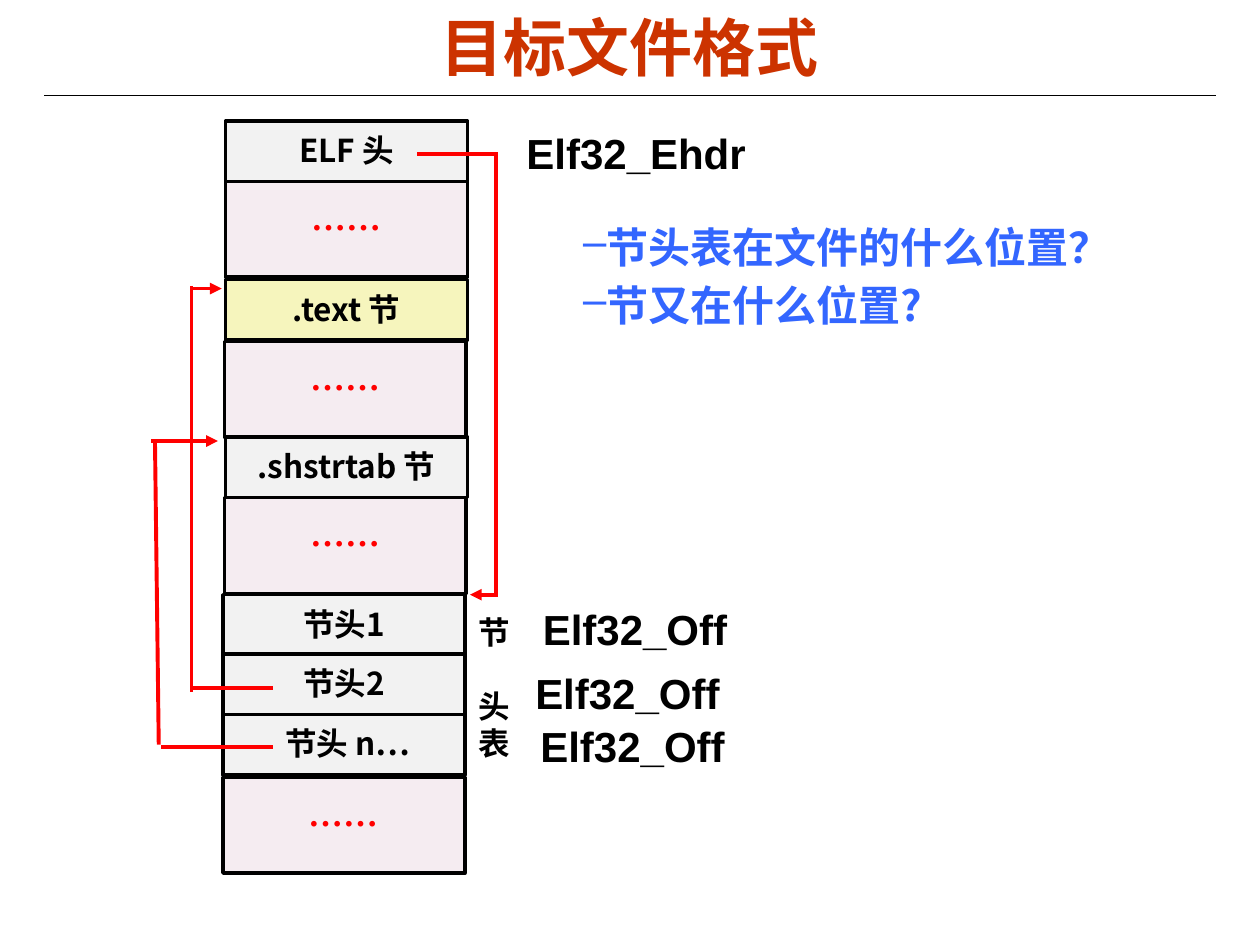
import pptx
import pptx.dml.color
import pptx.enum.shapes
import pptx.enum.text
import pptx.oxml
import pptx.oxml.ns
import pptx.util
from pptx.util import Inches

ALIGN = pptx.enum.text.PP_ALIGN
ANCHOR = pptx.enum.text.MSO_ANCHOR
CJK = "Noto Sans CJK SC"


def color(value):
    return pptx.dml.color.RGBColor.from_string(value)


def add_xml(parent, tag, **attributes):
    child = pptx.oxml.parse_xml(f"<a:{tag} {pptx.oxml.ns.nsdecls('a')}/>")
    for name, value in attributes.items():
        child.set(name, value)
    parent.append(child)


def apply(target, values):
    """Set every attribute named in values on target."""
    for name, value in values.items():
        setattr(target, name, value)


class Painter:
    def __init__(self, page):
        self.page = page

    def fill_text(self, frame, lines, size, ink, font=CJK, **layout):
        """Fill a text frame with one paragraph per line, all in one style."""
        for index, line in enumerate(lines):
            para = frame.add_paragraph() if index else frame.paragraphs[0]
            apply(para, layout)
            span = para.add_run()
            span.text = line
            apply(span.font, {"name": font, "size": pptx.util.Pt(size), "bold": True})
            span.font.color.rgb = color(ink)
            add_xml(span.font._element, "ea", typeface=CJK)

    def text(self, place, lines, size, ink="000000", anchor=ANCHOR.TOP, **style):
        box = self.page.shapes.add_textbox(*map(Inches, place))
        apply(box.text_frame, {"word_wrap": True, "vertical_anchor": anchor})
        self.fill_text(box.text_frame, lines, size, ink, **style)
        return box

    def bullets(self, place, lines, size, ink):
        box = self.text(place, lines, size, ink, line_spacing=1.15, level=1)
        for para in box.text_frame.paragraphs:
            settings = para._p.get_or_add_pPr()
            settings.set("marL", "0")
            settings.set("indent", str(Inches(-0.31)))
            add_xml(settings, "buChar", char="–")

    def block(self, place, label, fill, opacity=None, size=18, ink="000000"):
        box = self.page.shapes.add_shape(
            pptx.enum.shapes.MSO_SHAPE.RECTANGLE, *map(Inches, place))
        box.shadow.inherit = False
        box.fill.solid()
        box.fill.fore_color.rgb = color(fill)
        if opacity:
            tone = box._element.spPr.find(".//" + pptx.oxml.ns.qn("a:srgbClr"))
            add_xml(tone, "alpha", val=str(opacity * 1000))
        box.line.color.rgb = color("000000")
        box.line.width = pptx.util.Pt(2)
        apply(box.text_frame, {"word_wrap": False, "vertical_anchor": ANCHOR.MIDDLE})
        self.fill_text(box.text_frame, [label], size, ink,
                       alignment=ALIGN.CENTER, line_spacing=0.98)

    def line(self, ends, ink="FF0000", width=2.25, arrow=False):
        line = self.page.shapes.add_connector(
            pptx.enum.shapes.MSO_CONNECTOR.STRAIGHT, *map(Inches, ends))
        line.line.color.rgb = color(ink)
        line.line.width = pptx.util.Pt(width)
        if arrow:
            add_xml(line.line._get_or_add_ln(), "tailEnd", type="triangle")
        add_xml(line._element.spPr, "effectLst")

    def route(self, *segments):
        """Draw the segments of a pointer; the last one carries the arrowhead."""
        for ends in segments:
            self.line(ends, arrow=ends is segments[-1])


def main():
    deck = pptx.Presentation()
    apply(deck, {"slide_width": Inches(10), "slide_height": Inches(7.5)})
    painter = Painter(deck.slides.add_slide(deck.slide_layouts[6]))

    painter.line((0.35, 0.76, 9.65, 0.76), ink="000000", width=0.75)
    painter.text((0.5, 0.06, 9, 0.61), ["目标文件格式"], 36, "CC3300",
                 anchor=ANCHOR.MIDDLE, font="Arial", alignment=ALIGN.CENTER)

    header = {"fill": "F2F2F2"}
    code = {"fill": "F6F5BD"}
    gap = {"fill": "993366", "opacity": 9, "size": 20, "ink": "FF0000"}
    sections = [
        (1.79, 0.96, "ELF 头", header),
        (1.79, 1.44, "……", gap),
        (1.79, 2.22, ".text 节", code),
        (1.79, 3.47, ".shstrtab 节", header),
        (1.77, 4.72, "节头1", header),
        (1.78, 2.71, "……", gap),
        (1.78, 3.95, "……", gap),
        (1.77, 6.17, "……", gap),
        (1.77, 5.19, "节头2", header),
        (1.77, 5.67, " 节头 n…", header),
    ]
    for left, top, label, style in sections:
        height = 0.76 if style is gap else 0.48
        painter.block((left, top, 1.92, height), label, **style)

    structures = [(4.08, 0.96, "Elf32_Ehdr"), (4.21, 4.74, "Elf32_Off"),
                  (4.15, 5.25, "Elf32_Off"), (4.19, 5.67, "Elf32_Off")]
    for left, top, name in structures:
        painter.text((left, top, 2.66, 0.5), [name], 24, font="Arial",
                     space_before=pptx.util.Pt(4.8))

    table_label = painter.text((3.7, 4.83, 0.67, 1.29), ["节", "头", "表"], 18,
                               line_spacing=0.98)
    table_label.text_frame.paragraphs[1].space_before = pptx.util.Pt(21)

    painter.route((3.31, 1.22, 3.95, 1.22), (3.94, 1.21, 3.94, 4.72),
                  (3.95, 4.72, 3.73, 4.72))
    painter.route((1.53, 5.46, 2.17, 5.46), (1.52, 2.27, 1.52, 5.49),
                  (1.51, 2.29, 1.76, 2.29))
    painter.route((1.28, 5.93, 2.17, 5.93), (1.23, 3.5, 1.26, 5.91),
                  (1.2, 3.5, 1.73, 3.5))

    painter.bullets((4.53, 1.65, 4.97, 1.21),
                    ["节头表在文件的什么位置？", "节又在什么位置?"], 24, "3366FF")
    deck.save("out.pptx")


if __name__ == "__main__":
    main()
